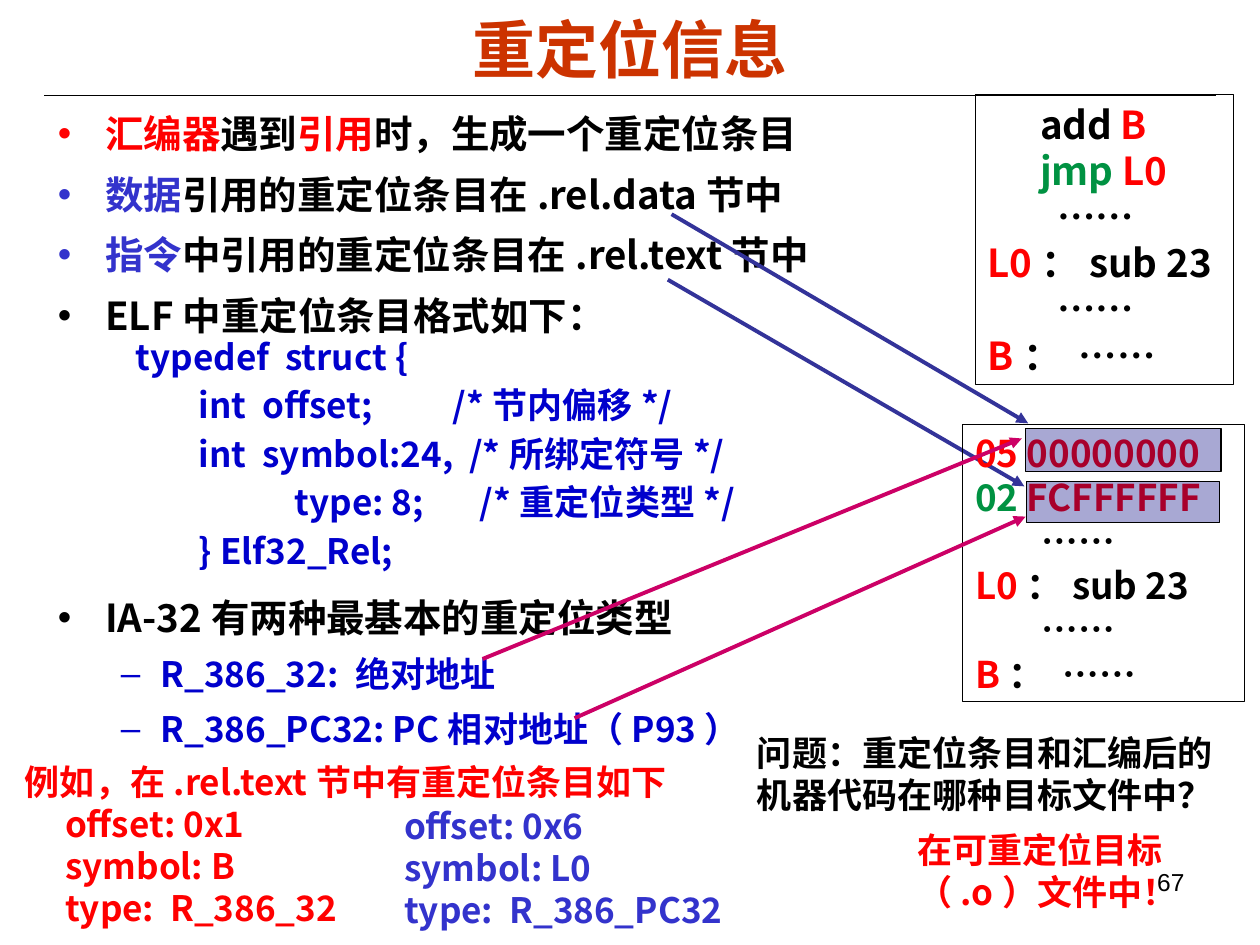
from dataclasses import dataclass

from lxml import etree
from pptx import Presentation
from pptx.dml.color import RGBColor
from pptx.enum.shapes import MSO_CONNECTOR, MSO_SHAPE
from pptx.enum.text import MSO_ANCHOR, MSO_AUTO_SIZE, PP_ALIGN
from pptx.oxml.ns import qn
from pptx.util import Pt

LINE, RECT = MSO_CONNECTOR.STRAIGHT, MSO_SHAPE.RECTANGLE
TOP, MID = MSO_ANCHOR.TOP, MSO_ANCHOR.MIDDLE
FIXED = MSO_AUTO_SIZE.NONE
LEFT, MIDDLE, RIGHT = PP_ALIGN.LEFT, PP_ALIGN.CENTER, PP_ALIGN.RIGHT


@dataclass(frozen=True)
class Theme:
    sans: str = "Arial"
    cjk: str = "Noto Sans CJK SC"
    black: str = "000000"
    rust: str = "CC3300"
    red: str = "FF0000"
    blue: str = "3333CC"
    code: str = "0000CC"
    green: str = "009242"
    navy: str = "333399"
    pink: str = "CC0066"
    veil: str = "000080"
    head: int = 36
    list: int = 22
    bytes: int = 21
    text: int = 20
    page: int = 14
    lead: float = 1.2


T = Theme()


def rgb(code):
    return RGBColor.from_string(code)


def node(up, tag, **attrs):
    return etree.SubElement(up, qn(tag), attrs)


class Deck:
    def __init__(self, theme):
        self.theme = theme
        self.prs = Presentation()
        self.prs.slide_width, self.prs.slide_height = Pt(720), Pt(540)
        self.slide = self.prs.slides.add_slide(self.prs.slide_layouts[1])

    def place(self, shape, box):
        shape.left, shape.top, shape.width, shape.height = map(Pt, box)

    def frame(self, shape, anchor=TOP):
        frame = shape.text_frame
        frame.word_wrap = True
        frame.auto_size = FIXED
        frame.vertical_anchor = anchor
        return frame

    def para(self, frame, runs, size, first, name=None, bold=True, align=LEFT,
             lead=None, gap=0, left=0, hang=0, mark=None, tab=None):
        """Add one paragraph; runs is a list of (text, colour)."""
        p = frame.paragraphs[0] if first else frame.add_paragraph()
        p.alignment = align
        p.line_spacing = Pt(lead or size * self.theme.lead)
        p.space_before = Pt(0 if first else gap)
        props = p._p.get_or_add_pPr()
        props.set("marL", str(Pt(left)))
        props.set("indent", str(Pt(-hang)))
        if mark:
            node(node(props, "a:buClr"), "a:srgbClr", val=runs[0][1])
            node(props, "a:buChar", char=mark)
        if tab:
            node(node(props, "a:tabLst"), "a:tab", pos=str(Pt(tab)), algn="l")
        font = p.font
        font.name = name or self.theme.cjk
        font.size, font.bold = Pt(size), bold
        node(props.find(qn("a:defRPr")), "a:ea", typeface=self.theme.cjk)
        same = len({color for _, color in runs}) == 1
        if same:
            font.color.rgb = rgb(runs[0][1])
        for text, color in runs:
            run = p.add_run()
            run.text = text
            if not same:
                run.font.color.rgb = rgb(color)

    def title(self, text, box):
        shape = self.slide.shapes.title
        self.place(shape, box)
        self.para(self.frame(shape, MID), [(text, self.theme.rust)],
                  self.theme.head, True, name=self.theme.sans, align=MIDDLE)

    def body(self, items, box):
        """Fill the list; items hold level, space before and runs."""
        shape = self.slide.placeholders[1]
        self.place(shape, box)
        frame = self.frame(shape)
        looks = [(self.theme.list, 27, 27, "•"), (self.theme.text, 58.5, 22.5, "–")]
        for i, (level, gap, runs) in enumerate(items):
            size, left, hang, mark = looks[level]
            self.para(frame, runs, size, i == 0, lead=size * self.theme.lead * 1.1,
                      gap=gap, left=left, hang=hang, mark=mark)
            frame.paragraphs[i].level = level

    def text(self, rows, box, size, lefts=(), **look):
        """Add a text box; lefts gives the indent of each row."""
        shape = self.slide.shapes.add_textbox(*map(Pt, box))
        frame = self.frame(shape)
        for i, runs in enumerate(rows):
            left = lefts[i] if lefts else 0
            self.para(frame, runs, size, i == 0, left=left, **look)

    def rect(self, box, fill=None, alpha=100):
        shape = self.slide.shapes.add_shape(RECT, *map(Pt, box))
        shape.shadow.inherit = False
        shape.line.color.rgb = rgb(self.theme.black)
        shape.line.width = Pt(0.75)
        if fill:
            shape.fill.solid()
            shape.fill.fore_color.rgb = rgb(fill)
            tint = shape._element.spPr.find(".//" + qn("a:srgbClr"))
            node(tint, "a:alpha", val=str(alpha * 1000))
        else:
            shape.fill.background()
        return shape

    def panel(self, rows, box, size):
        frame = self.frame(self.rect(box))
        for i, runs in enumerate(rows):
            self.para(frame, runs, size, i == 0)

    def line(self, start, end, color, width, arrow=False):
        link = self.slide.shapes.add_connector(LINE, *map(Pt, start + end))
        link.line.color.rgb = rgb(color)
        link.line.width = Pt(width)
        if arrow:
            node(link.line._get_or_add_ln(), "a:tailEnd", type="triangle")
        node(link._element.spPr, "a:effectLst")


def main():
    deck = Deck(T)
    deck.title("重定位信息", (36, 5.76, 648, 43.92))
    deck.line((25.2, 54.72), (694.8, 54.72), T.black, 0.75)

    deck.body([
        (0, 0, [("汇编器", T.red), ("遇到", T.black), ("引用", T.red),
                ("时，生成一个重定位条目", T.black)]),
        (0, 5.5, [("数据", T.blue), ("引用的重定位条目在.rel.data节中", T.black)]),
        (0, 5.5, [("指令", T.blue), ("中引用的重定位条目在.rel.text节中", T.black)]),
        (0, 5.5, [("ELF中重定位条目格式如下：", T.black)]),
        (0, 143.5, [("IA-32有两种最基本的重定位类型", T.black)]),
        (1, 5, [("R_386_32: 绝对地址", T.code)]),
        (1, 5, [("R_386_PC32: PC相对地址（P93）", T.code)]),
    ], (25.92, 56.88, 671.04, 392.4))

    struct = [
        "typedef  struct {",
        "\tint  offset;          /*节内偏移*/",
        "  \tint  symbol:24,  /*所绑定符号*/",
        "                    type: 8;       /*重定位类型*/",
        "\t} Elf32_Rel;",
    ]
    deck.text([[(row, T.code)] for row in struct],
              (70.56, 187.92, 394.56, 142.56), T.text, gap=3.7, tab=72)

    entry = ["例如，在.rel.text节中有重定位条目如下",
             "offset: 0x1", "symbol: B", "type:  R_386_32"]
    deck.text([[(row, T.red)] for row in entry],
              (7.2, 431.28, 385.92, 103.68), T.text, lefts=(0, 23, 23, 23))

    dots = [("        ……", T.black)]
    tail = [
        dots,
        [("L0", T.red), ("：sub 23", T.black)],
        dots,
        [("B", T.red), ("：  ……", T.black)],
    ]
    source = [[("      add ", T.black), ("B", T.red)],
              [("      jmp ", T.green), ("L0", T.red)]]
    binary = [[("05 00000000", T.red)],
              [("02 ", T.green), ("FCFFFFFF", T.red)]]
    deck.panel(source + tail, (557.28, 54, 147.6, 165.6), T.list)
    deck.line((381.6, 159.84), (585.36, 277.92), T.navy, 2.25, True)
    deck.line((383.76, 122.4), (587.52, 241.92), T.navy, 2.25, True)
    deck.panel(binary + tail, (550.08, 242.64, 161.28, 158.4), T.bytes)

    deck.rect((586.08, 244.8, 111.6, 24.48), T.veil, 34)
    deck.rect((586.8, 275.04, 110.16, 23.76), T.veil, 34)
    deck.line((275.76, 376.56), (583.92, 250.56), T.pink, 2.25, True)
    deck.line((328.32, 410.4), (586.08, 295.2), T.pink, 2.25, True)

    other = ["offset: 0x6", "symbol: L0", "type:  R_386_PC32"]
    deck.text([[(row, T.blue)] for row in other],
              (223.92, 456, 292.32, 79.2), T.text)
    deck.text([[("问题：重定位条目和汇编后的机器代码在哪种目标文件中？", T.black)]],
              (425.52, 414.72, 290.16, 55.44), T.text, name=T.sans)
    deck.text([[("在可重定位目标（.o）文件中！", T.red)]],
              (516.96, 470.16, 169.92, 55.44), T.text)
    deck.text([[("67", T.black)]], (516.24, 491.76, 167.76, 37.44), T.page,
              name=T.sans, bold=False, align=RIGHT)
    deck.prs.save("out.pptx")


if __name__ == "__main__":
    main()
